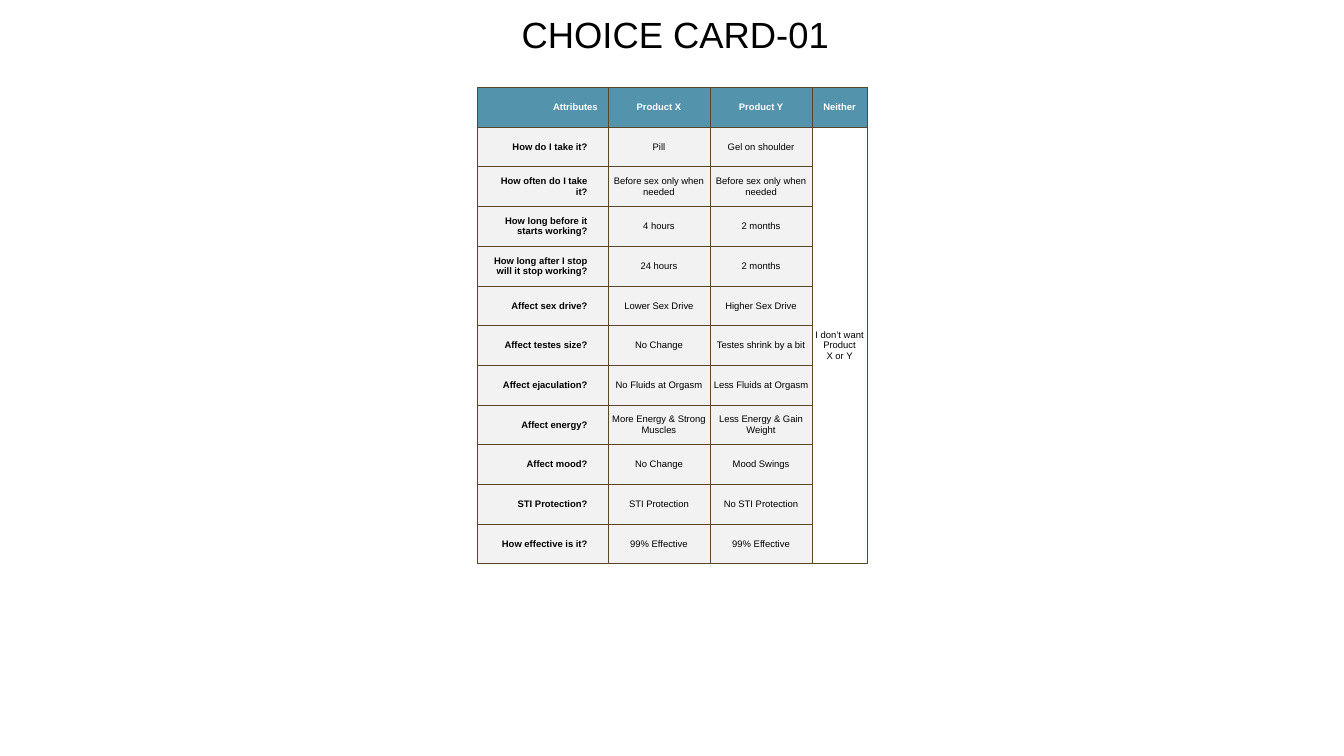
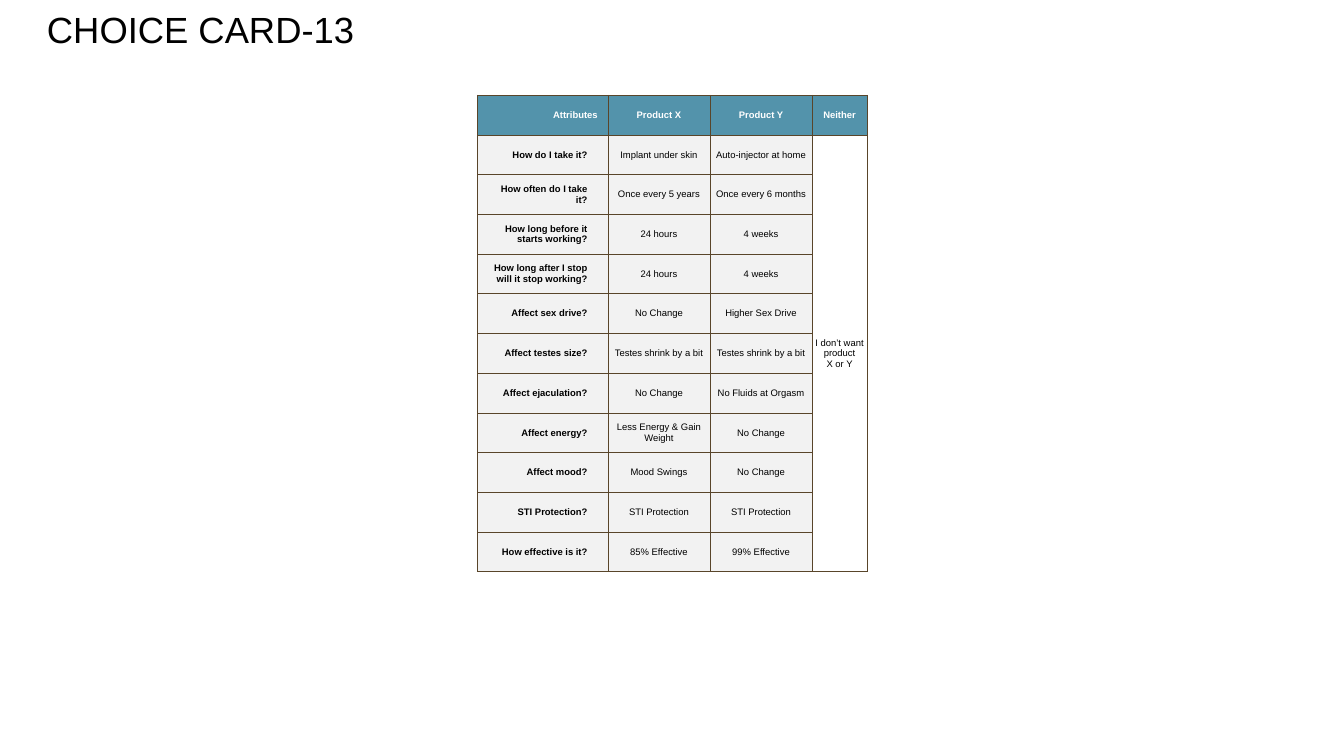
"""Build two choice cards, each a title above a product comparison table."""
from lxml import etree
from pptx import Presentation
from pptx.dml.color import RGBColor
from pptx.enum.text import MSO_ANCHOR, PP_ALIGN
from pptx.oxml.ns import qn
from pptx.util import Inches, Pt

LEFT, RIGHT, MID = PP_ALIGN.LEFT, PP_ALIGN.RIGHT, PP_ALIGN.CENTER
CENTER = MSO_ANCHOR.MIDDLE

THEME = {
    "font": "Arial",
    "title": Pt(46.2),
    "lead": Pt(30.7),
    "body": Pt(12),
    "rule": Pt(1),
    "edge": "59452A",
    "head": "5393AB",
    "pale": "F2F2F2",
    "white": "FFFFFF",
    "black": "000000",
}
COLS = (2.3, 1.8, 1.8, 0.97)
ROW = 0.7
HEAD = ("Attributes", "Product X", "Product Y", "Neither")
ASKS = (
    "How do I take it?",
    "How often do I take it?",
    "How long before it starts working?",
    "How long after I stop will it stop working?",
    "Affect sex drive?",
    "Affect testes size?",
    "Affect ejaculation?",
    "Affect energy?",
    "Affect mood?",
    "STI Protection?",
    "How effective is it?",
)
PADS = {"head": (0.18, 0.09, 0.18), "ask": (0.18, 0.09, 0.36), "item": (0.04, 0.02, 0.04)}
CARDS = (
    {
        "title": "CHOICE CARD-01", "at": (9.1, 0.51), "top": 1.54,
        "none": "I don’t want Product\nX or Y",
        "x": ("Pill", "Before sex only when needed", "4 hours", "24 hours",
              "Lower Sex Drive", "No Change", "No Fluids at Orgasm",
              "More Energy & Strong Muscles", "No Change", "STI Protection",
              "99% Effective"),
        "y": ("Gel on shoulder", "Before sex only when needed", "2 months", "2 months",
              "Higher Sex Drive", "Testes shrink by a bit", "Less Fluids at Orgasm",
              "Less Energy & Gain Weight", "Mood Swings", "No STI Protection",
              "99% Effective"),
    },
    {
        "title": "CHOICE CARD-13", "at": (0.73, 0.42), "top": 1.68,
        "none": "I don’t want product\nX or Y",
        "x": ("Implant under skin", "Once every 5 years", "24 hours", "24 hours",
              "No Change", "Testes shrink by a bit", "No Change",
              "Less Energy & Gain Weight", "Mood Swings", "STI Protection",
              "85% Effective"),
        "y": ("Auto-injector at home", "Once every 6 months", "4 weeks", "4 weeks",
              "Higher Sex Drive", "Testes shrink by a bit", "No Fluids at Orgasm",
              "No Change", "No Change", "STI Protection",
              "99% Effective"),
    },
)


def write(frame, text, size, color, bold, align):
    """Fill a text frame with evenly formatted paragraphs."""
    frame.text = text
    for para in frame.paragraphs:
        para.alignment = align
        form = {"name": THEME["font"], "size": THEME[size], "bold": bold}
        for key, value in form.items():
            setattr(para.runs[0].font, key, value)
        para.runs[0].font.color.rgb = RGBColor.from_string(THEME[color])


def paint(cell, fill, pads):
    """Give a cell its margins, borders and fill."""
    left, top, right = (Inches(pad) for pad in pads)
    form = {
        "margin_left": left, "margin_right": right, "margin_top": top,
        "margin_bottom": top, "vertical_anchor": CENTER,
    }
    for key, value in form.items():
        setattr(cell, key, value)
    props = cell._tc.get_or_add_tcPr()
    for side in ("lnL", "lnR", "lnT", "lnB"):
        line = etree.SubElement(props, qn("a:" + side), w=str(THEME["rule"]))
        solid = etree.SubElement(line, qn("a:solidFill"))
        etree.SubElement(solid, qn("a:srgbClr"), val=THEME["edge"])
    cell.fill.solid()
    cell.fill.fore_color.rgb = RGBColor.from_string(THEME[fill])


deck = Presentation()
deck.slide_width, deck.slide_height = Inches(23.7), Inches(13.33)

for card in CARDS:
    slide = deck.slides.add_slide(deck.slide_layouts[6])
    left, top = card["at"]
    box = slide.shapes.add_textbox(Inches(left), Inches(top), Inches(18.05), Inches(0.74))
    box.text_frame.word_wrap = True
    write(box.text_frame, card["title"], "title", "black", False, LEFT)
    box.text_frame.paragraphs[0].line_spacing = THEME["lead"]

    rows = [HEAD, *zip(ASKS, card["x"], card["y"], [card["none"]] + [""] * (len(ASKS) - 1))]
    grid = slide.shapes.add_table(
        len(rows), len(COLS), Inches(8.42), Inches(card["top"]),
        Inches(sum(COLS)), Inches(ROW * len(rows))).table
    grid.first_row = grid.horz_banding = False
    for col, width in zip(grid.columns, COLS):
        col.width = Inches(width)
    for r, row in enumerate(rows):
        grid.rows[r].height = Inches(ROW)
        for c, text in enumerate(row):
            cell = grid.cell(r, c)
            kind = "head" if r == 0 else "ask" if c == 0 else "item"
            fill = "head" if r == 0 else "white" if c == 3 else "pale"
            paint(cell, fill, PADS[kind])
            if text:
                write(cell.text_frame, text, "body", "white" if r == 0 else "black",
                      kind != "item", RIGHT if c == 0 else MID)
    grid.cell(1, 3).merge(grid.cell(len(ASKS), 3))

deck.save("out.pptx")
